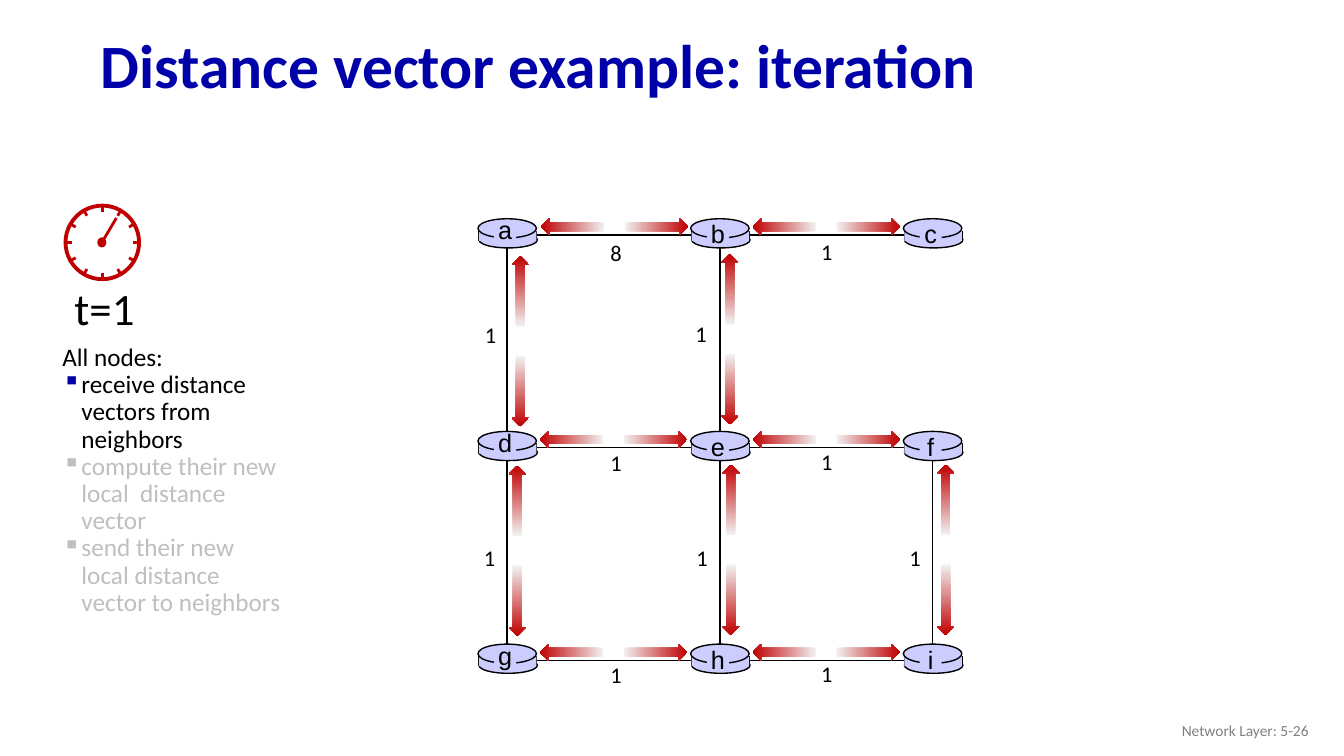
import math

import pptx
import pptx.dml.color
import pptx.enum.shapes
import pptx.enum.text
import pptx.oxml
import pptx.oxml.ns
import pptx.util

Inches, Pt = pptx.util.Inches, pptx.util.Pt
RGBColor = pptx.dml.color.RGBColor
SHAPE = pptx.enum.shapes.MSO_SHAPE
ALIGN = pptx.enum.text.PP_ALIGN
ANCHOR = pptx.enum.text.MSO_ANCHOR

NAVY = RGBColor(0x00, 0x00, 0xA8)
BLACK = RGBColor(0x00, 0x00, 0x00)
GRAY = RGBColor(0x80, 0x80, 0x80)
DIMMED = RGBColor(0xBF, 0xBF, 0xBF)
RED = RGBColor(0xC0, 0x00, 0x00)
PALE = RGBColor(0xF2, 0xF2, 0xF2)
LAVENDER = RGBColor(0xCC, 0xCC, 0xFF)

STEPS = [
    ("receive distance vectors from neighbors", BLACK, NAVY),
    ("compute their new local  distance vector", DIMMED, DIMMED),
    ("send their new local distance vector to neighbors", DIMMED, DIMMED),
]
ROUTERS = ["abc", "def", "ghi"]
# Link ends, cost, cost label offset and arrow offset from the link's middle
LINKS = [
    ("ab", "8", (-0.13, -0.01), (0.01, -0.08)),
    ("bc", "1", (-0.15, -0.02), (0, -0.08)),
    ("de", "1", (-0.13, -0.03), (0, -0.08)),
    ("ef", "1", (-0.15, -0.04), (0, -0.08)),
    ("gh", "1", (-0.13, -0.04), (0, -0.08)),
    ("hi", "1", (-0.15, -0.05), (0, -0.08)),
    ("ad", "1", (-0.32, -0.25), (0.13, 0)),
    ("be", "1", (-0.34, -0.26), (0.1, -0.02)),
    ("dg", "1", (-0.33, -0.15), (0.1, -0.03)),
    ("eh", "1", (-0.33, -0.15), (0.11, -0.04)),
    ("fi", "1", (-0.33, -0.15), (0.13, -0.04)),
]


def add_run(paragraph, text, size, color, font="Calibri", bold=False):
    run = paragraph.add_run()
    run.text = text
    run.font.size, run.font.name, run.font.bold = Pt(size), font, bold
    run.font.color.rgb = color


def add_text(shapes, box, text, size, color, font="Calibri", align=ALIGN.LEFT,
             wrap=True):
    frame = shapes.add_textbox(*map(Inches, box)).text_frame
    frame.word_wrap = wrap
    frame.paragraphs[0].alignment = align
    add_run(frame.paragraphs[0], text, size, color, font)
    return frame


def add_line(shapes, start, end, color=BLACK, width=1):
    line = shapes.add_connector(pptx.enum.shapes.MSO_CONNECTOR.STRAIGHT,
                                *map(Inches, (*start, *end)))
    line.line.color.rgb, line.line.width = color, Pt(width)
    line._element.spPr.append(pptx.oxml.parse_xml(
        f'<a:effectLst {pptx.oxml.ns.nsdecls("a")}/>'))


def add_shape(shapes, kind, box, fill=None, outline=None, width=1):
    shape = shapes.add_shape(kind, *map(Inches, box))
    shape.shadow.inherit = False
    if fill is None:
        shape.fill.background()
    else:
        shape.fill.solid()
        shape.fill.fore_color.rgb = fill
    if outline is None:
        shape.line.fill.background()
    else:
        shape.line.color.rgb, shape.line.width = outline, Pt(width)
    return shape


def format_title(title, box):
    title.left, title.top, title.width, title.height = map(Inches, box)
    frame = title.text_frame
    frame.vertical_anchor = ANCHOR.MIDDLE
    heading = frame.paragraphs[0]
    heading.alignment, heading.line_spacing = ALIGN.LEFT, 0.9
    add_run(heading, "Distance vector example: iteration", 44, NAVY, bold=True)


def add_clock(shapes, left, top, size):
    clock = shapes.add_group_shape().shapes
    radius = size / 2
    cx, cy = left + radius, top + radius

    def at(angle, distance):
        return (cx + distance * math.sin(angle), cy - distance * math.cos(angle))

    # Face, hour ticks, hub and hand
    add_shape(clock, SHAPE.OVAL, (left, top, size, size), None, RED, 2.75)
    for hour in range(12):
        angle = math.radians(30 * hour)
        add_line(clock, at(angle, radius + 0.01), at(angle, radius - 0.06), RED, 2)
    add_shape(clock, SHAPE.OVAL, (cx - 0.05, cy - 0.05, 0.09, 0.1), RED)
    add_line(clock, at(math.radians(30), 0.28), (cx - 0.01, cy + 0.01), RED, 2)
    add_text(clock, (left - 0.01, top + 0.7, 0.81, 0.64), "t=1", 32, BLACK,
             wrap=False)


def add_steps(shapes, box):
    frame = add_text(shapes, box, "All nodes:", 18, BLACK)
    for text, color, bullet_color in STEPS:
        step = frame.add_paragraph()
        add_run(step, text, 18, color)
        props = step._p.get_or_add_pPr()
        props.set("marL", str(Inches(0.19)))
        props.set("indent", str(-Inches(0.19)))
        ns = pptx.oxml.ns.nsdecls("a")
        props.append(pptx.oxml.parse_xml(
            f'<a:buClr {ns}><a:srgbClr val="{bullet_color}"/></a:buClr>'))
        props.append(pptx.oxml.parse_xml(f'<a:buChar {ns} char="▪"/>'))
    for paragraph in frame.paragraphs:
        paragraph.line_spacing = 0.9


def add_router(shapes, x, y, name, letter_top):
    router = shapes.add_group_shape().shapes
    left = x - 0.28
    # Base, side walls, lid, and the patch behind the letter
    add_shape(router, SHAPE.OVAL, (left, y - 0.03, 0.58, 0.16), LAVENDER, BLACK)
    for side in (left, left + 0.57):
        add_line(router, (side, y - 0.04), (side, y + 0.06))
    add_shape(router, SHAPE.RECTANGLE, (left, y - 0.04, 0.57, 0.1), LAVENDER)
    add_shape(router, SHAPE.OVAL, (left - 0.01, y - 0.16, 0.58, 0.19),
              LAVENDER, BLACK)
    add_shape(router, SHAPE.RECTANGLE, (x - 0.13, y - 0.11, 0.22, 0.2), LAVENDER)
    add_text(router, (x - 0.19, letter_top, 0.34, 0.4), name, 18, BLACK,
             "Arial", ALIGN.CENTER, wrap=False)


def add_arrow(shapes, x, y, length, rotation):
    arrow = add_shape(shapes, SHAPE.RIGHT_ARROW,
                      (x - length / 2, y - 0.085, length, 0.17))
    arrow.rotation = rotation
    arrow.fill.gradient()
    arrow.fill.gradient_angle = 0
    for stop, color in zip(arrow.fill.gradient_stops, (PALE, RED)):
        stop.color.rgb = color


def add_network(shapes, left, top, size):
    pitch = size / 2
    places = {name: (left + col * pitch, top + row * pitch)
              for row, names in enumerate(ROUTERS)
              for col, name in enumerate(names)}
    for ends, *_ in LINKS:
        add_line(shapes, places[ends[0]], places[ends[1]])
    for name, (x, y) in places.items():
        add_router(shapes, x, y, name, y - (0.25 if x == left else 0.21))
    # Costs and the vectors sent both ways along each link
    for ends, cost, label, shift in LINKS:
        (x1, y1), (x2, y2) = places[ends[0]], places[ends[1]]
        mid_x, mid_y = (x1 + x2) / 2, (y1 + y2) / 2
        add_text(shapes, (mid_x + label[0], mid_y + label[1], 0.33, 0.37),
                 cost, 16, BLACK)
        x, y = mid_x + shift[0], mid_y + shift[1]
        if y1 == y2:
            reach = pitch / 2 - 0.64
            add_arrow(shapes, x - reach, y, 0.63, 180)
            add_arrow(shapes, x + reach, y, 0.63, 0)
        else:
            reach = pitch / 2 - 0.56
            add_arrow(shapes, x, y - reach, 0.7, 270)
            add_arrow(shapes, x, y + reach, 0.7, 90)


def main():
    deck = pptx.Presentation()
    deck.slide_width, deck.slide_height = Inches(13.33), Inches(7.5)
    slide = deck.slides.add_slide(deck.slide_layouts[5])
    format_title(slide.shapes.title, (0.9, 0.19, 11.5, 0.98))
    footer = add_text(slide.shapes, (10.08, 7.05, 3, 0.4), "Network Layer: 5-26",
                      11, GRAY, align=ALIGN.RIGHT)
    footer.vertical_anchor = ANCHOR.MIDDLE
    add_steps(slide.shapes, (0.52, 3.37, 2.4, 2.83))
    add_clock(slide.shapes, 0.65, 2.04, 0.73)
    add_network(slide.shapes, 5.03, 2.33, 4.22)
    deck.save("out.pptx")


if __name__ == "__main__":
    main()
